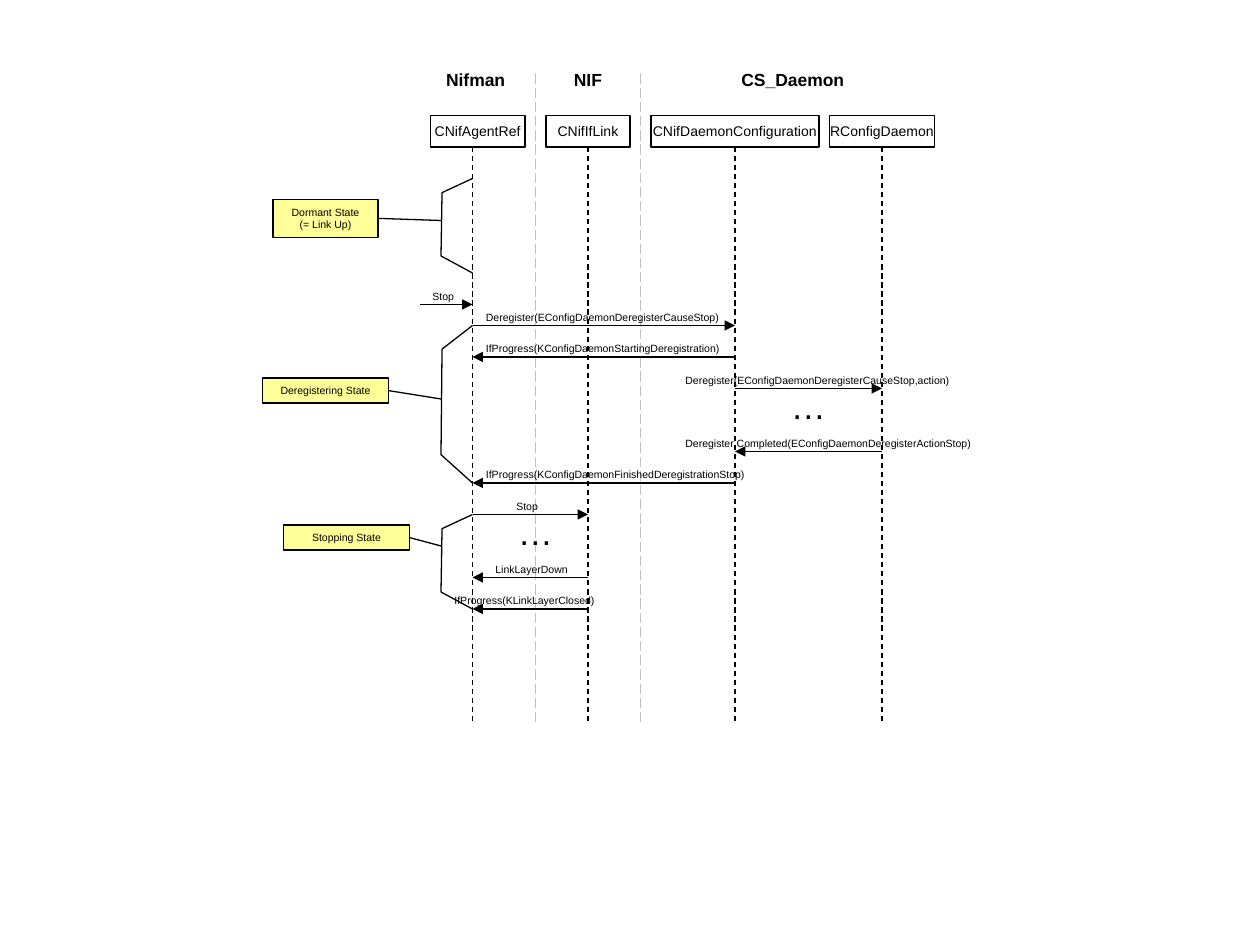
from lxml import etree
from pptx import Presentation
from pptx import util as u
from pptx.dml.color import RGBColor
from pptx.enum import dml, shapes, text
from pptx.oxml.ns import qn

PX = u.Inches(1) // 120
COLORS = {"ink": "000000", "divider": "C0C0C0", "note": "FFFF99"}
DASH = dml.MSO_LINE.DASH
LONG_DASH = dml.MSO_LINE.LONG_DASH

# Lifeline positions
AGENT, LINK, CONFIG, DAEMON = 450, 560, 700, 840
BOTTOM = 690


def rgb(name):
    return RGBColor.from_string(COLORS[name])


def emu(*lengths):
    return [round(length * PX) for length in lengths]


def write(shape, content, size=6, bold=False, centered=True, wrap=True,
          middle=False):
    frame = shape.text_frame
    frame.word_wrap = wrap
    frame.auto_size = (text.MSO_AUTO_SIZE.SHAPE_TO_FIT_TEXT if wrap
                       else text.MSO_AUTO_SIZE.NONE)
    frame.vertical_anchor = text.MSO_ANCHOR.MIDDLE if middle else text.MSO_ANCHOR.TOP
    frame.text = content
    for paragraph in frame.paragraphs:
        paragraph.alignment = text.PP_ALIGN.CENTER if centered else text.PP_ALIGN.LEFT
        for run in paragraph.runs:
            run.font.name = "Arial"
            run.font.size = u.Pt(size)
            run.font.bold = bold
            run.font.color.rgb = rgb("ink")


def add_label(slide, box, content, **style):
    write(slide.shapes.add_textbox(*emu(*box)), content, **style)


def outline(shape, fill=None):
    shape.shadow.inherit = False
    if fill:
        shape.fill.solid()
        shape.fill.fore_color.rgb = rgb(fill)
    else:
        shape.fill.background()
    shape.line.color.rgb = rgb("ink")
    shape.line.width = u.Pt(0.75)


def add_box(slide, box, content, fill=None, **style):
    rect = slide.shapes.add_shape(shapes.MSO_SHAPE.RECTANGLE, *emu(*box))
    outline(rect, fill)
    write(rect, content, **style)
    return rect


def add_line(slide, start, end, color="ink", dash=None, arrow=False):
    line = slide.shapes.add_connector(shapes.MSO_CONNECTOR.STRAIGHT, *emu(*start, *end))
    line.line.color.rgb = rgb(color)
    line.line.width = u.Pt(0.75)
    if dash:
        line.line.dash_style = dash
    if arrow:
        etree.SubElement(line.line._get_or_add_ln(), qn("a:tailEnd"), type="triangle")
    etree.SubElement(line._element.spPr, qn("a:effectLst"))
    return line


def add_participant(slide, box, name, lifeline):
    """Class box with its dashed lifeline."""
    left, top, width, height = box
    head = add_box(slide, box, name, size=8, wrap=False, middle=True)
    life = add_line(slide, (lifeline, top + height), (lifeline, BOTTOM), dash=DASH)
    if lifeline == left + width / 2:
        life.begin_connect(head, 2)


def add_message(slide, y, sender, receiver, content, label_left, label_width):
    """Arrow from sender to receiver with its label above."""
    add_line(slide, (sender, y), (receiver, y), arrow=True)
    add_label(slide, (label_left, y - 20, label_width, 24), content,
              centered=False, wrap=False)


def add_state(slide, box, content, top, bottom, joint):
    """Yellow note tied to a brace that spans part of the agent lifeline."""
    height = bottom - top
    spine = AGENT - 30
    brace = slide.shapes.build_freeform(*emu(AGENT, top))
    brace.add_line_segments([
        emu(spine + 1, top + 0.15 * height),
        emu(spine, top + 0.82 * height),
        emu(AGENT, bottom),
    ], close=False)
    outline(brace.convert_to_shape())
    note = add_box(slide, box, content, fill="note")
    left, note_top, width, note_height = box
    tie = add_line(slide, (spine, joint), (left + width, note_top + note_height / 2))
    tie.end_connect(note, 3)


def add_columns(slide):
    # Component titles
    for left, width, title in ((410, 86, "Nifman"), (530, 60, "NIF"),
                               (690, 130, "CS_Daemon")):
        add_label(slide, (left, 60, width, 32), title, size=10, bold=True)
    # Dividers between components
    for x in (510, 610):
        add_line(slide, (x, 70), (x, BOTTOM), color="divider", dash=LONG_DASH)
    # Participants
    for left, width, name, lifeline in (
            (410, 90, "CNifAgentRef", AGENT),
            (520, 80, "CNifIfLink", LINK),
            (620, 160, "CNifDaemonConfiguration", CONFIG),
            (790, 100, "RConfigDaemon", DAEMON)):
        add_participant(slide, (left, 110, width, 30), name, lifeline)


def add_messages(slide):
    for message in (
            (290, 400, AGENT, "Stop", 400, 48),
            (310, AGENT, CONFIG, "Deregister(EConfigDaemonDeregisterCauseStop)", 451, 248),
            (340, CONFIG, AGENT, "IfProgress(KConfigDaemonStartingDeregistration)", 451, 248),
            (370, CONFIG, DAEMON,
             "Deregister(EConfigDaemonDeregisterCauseStop,action)", 641, 278),
            (430, DAEMON, CONFIG,
             "Deregister Completed(EConfigDaemonDeregisterActionStop)", 641, 298),
            (460, CONFIG, AGENT,
             "IfProgress(KConfigDaemonFinishedDeregistrationStop)", 451, 272),
            (490, AGENT, LINK, "Stop", 480, 48),
            (550, LINK, AGENT, "LinkLayerDown", 460, 96),
            (580, LINK, AGENT, "IfProgress(KLinkLayerClosed)", 421, 160)):
        add_message(slide, *message)
    # Omitted steps
    for left, top in ((740, 360), (480, 480)):
        add_label(slide, (left, top, 60, 53), "…", size=20)


def add_states(slide):
    add_state(slide, (260, 190, 100, 36), "Dormant State\n(= Link Up)", 170, 260, 210)
    add_state(slide, (250, 360, 120, 24), "Deregistering State", 310, 460, 380)
    add_state(slide, (270, 500, 120, 24), "Stopping State", 490, 580, 520)


def main():
    deck = Presentation()
    deck.slide_width, deck.slide_height = emu(1200, 900)
    slide = deck.slides.add_slide(deck.slide_layouts[6])
    add_columns(slide)
    add_messages(slide)
    add_states(slide)
    deck.save("out.pptx")


if __name__ == "__main__":
    main()
